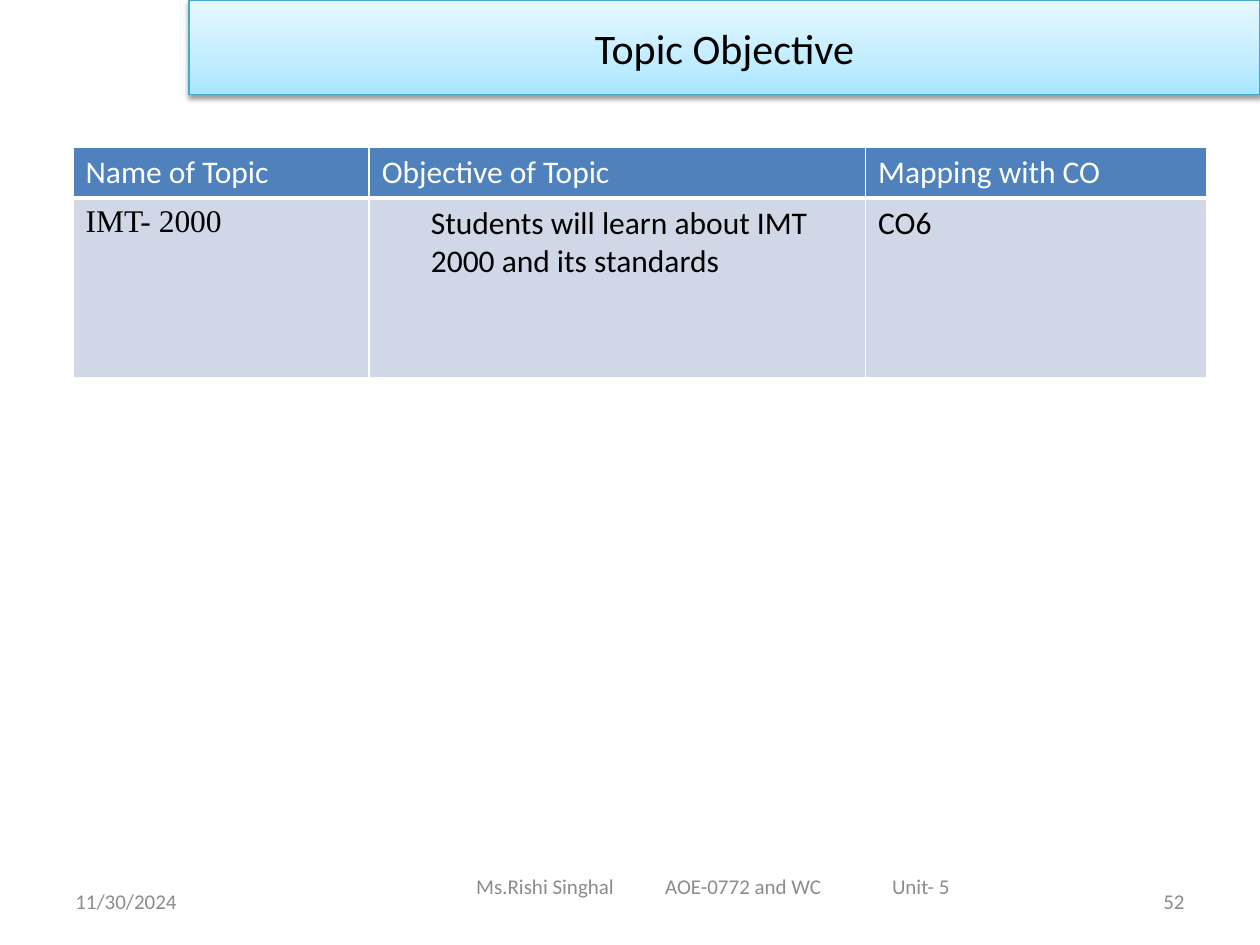
from dataclasses import dataclass

from lxml import etree
from pptx import Presentation
from pptx.dml.color import RGBColor
from pptx.enum.text import MSO_ANCHOR, PP_ALIGN
from pptx.oxml import parse_xml
from pptx.oxml.ns import nsdecls, qn
from pptx.util import Inches, Pt

LEFT, CENTER, RIGHT = PP_ALIGN.LEFT, PP_ALIGN.CENTER, PP_ALIGN.RIGHT
MIDDLE = MSO_ANCHOR.MIDDLE
TITLE_ONLY_LAYOUT = 5
BODY_FONT = "Calibri"
SERIF_FONT = "Times New Roman"
COLORS = {
    "text": "000000",
    "white": "FFFFFF",
    "footer": "8C8C8C",
    "header": "4F81BD",
    "band": "D0D8E8",
    "title_line": "46AAC5",
    "shadow": "000000",
}
TITLE_STOPS = [(0, "A7E6FF"), (35, "C1EDFF"), (100, "E7F8FF")]


@dataclass
class FooterItem:
    text: str
    left: float
    top: float
    width: float
    alignment: PP_ALIGN
    inset: float = 0.1
    tabs: tuple = ()


@dataclass
class TableCell:
    text: str
    color: str
    fill: str
    bottom_border: float
    font: str = BODY_FONT
    indent: float = 0


FOOTER_ITEMS = [
    FooterItem("11/30/2024", 0.5, 6.95, 2.33, LEFT),
    FooterItem("Ms.Rishi Singhal\tAOE-0772 and WC\tUnit- 5", 3.08, 6.83, 5.17, LEFT, 0.7, (1.5, 3.3)),
    FooterItem("52", 7.17, 6.95, 2.33, RIGHT),
]
COLUMN_WIDTHS = [2.35, 3.94, 2.71]
ROW_HEIGHTS = [0.4, 1.43]
HEADINGS = ["Name of Topic", "Objective of Topic", "Mapping with CO"]
TABLE_ROWS = [
    [TableCell(heading, "white", "header", 3) for heading in HEADINGS],
    [
        TableCell("IMT- 2000", "text", "band", 1, font=SERIF_FONT),
        TableCell("Students will learn about IMT 2000 and its standards", "text", "band", 1, indent=0.39),
        TableCell("CO6", "text", "band", 1),
    ],
]


def add_run(paragraph, text: str, size: float, color: str, font: str = BODY_FONT) -> None:
    run = paragraph.add_run()
    run.text = text
    run.font.size = Pt(size)
    run.font.name = font
    run.font.bold = False
    run.font.color.rgb = RGBColor.from_string(COLORS[color])


def draw_title(slide) -> None:
    title = slide.shapes.title
    title.left, title.top = Inches(1.5), Inches(0)
    title.width, title.height = Inches(8.5), Inches(0.75)
    stops = "".join(
        f'<a:gs pos="{position * 1000}"><a:srgbClr val="{color}"/></a:gs>'
        for position, color in TITLE_STOPS
    )
    properties = title._element.spPr
    properties.append(parse_xml(
        f'<a:gradFill {nsdecls("a")} rotWithShape="1"><a:gsLst>{stops}</a:gsLst>'
        '<a:lin ang="16200000" scaled="0"/></a:gradFill>'
    ))
    title.line.color.rgb = RGBColor.from_string(COLORS["title_line"])
    title.line.width = Pt(0.75)
    properties.append(parse_xml(
        f'<a:effectLst {nsdecls("a")}><a:outerShdw blurRad="{Pt(3.1)}" dist="{Pt(1.6)}" '
        f'dir="5400000" rotWithShape="0"><a:srgbClr val="{COLORS["shadow"]}">'
        '<a:alpha val="38000"/></a:srgbClr></a:outerShdw></a:effectLst>'
    ))
    title.text_frame.vertical_anchor = MIDDLE
    paragraph = title.text_frame.paragraphs[0]
    paragraph.alignment = CENTER
    add_run(paragraph, "Topic Objective", 24, "text")


def draw_footer(slide, item: FooterItem) -> None:
    box = slide.shapes.add_textbox(
        Inches(item.left), Inches(item.top), Inches(item.width), Inches(0.4)
    )
    frame = box.text_frame
    frame.word_wrap = True
    frame.vertical_anchor = MIDDLE
    frame.margin_left = Inches(item.inset)
    paragraph = frame.paragraphs[0]
    paragraph.alignment = item.alignment
    if item.tabs:
        tab_list = etree.SubElement(paragraph._p.get_or_add_pPr(), qn("a:tabLst"))
        for position in item.tabs:
            etree.SubElement(tab_list, qn("a:tab"), pos=str(Inches(position)), algn="l")
    add_run(paragraph, item.text, 12, "footer")


def set_borders(cell, bottom_width: float) -> None:
    properties = cell._tc.get_or_add_tcPr()
    for index, (side, width) in enumerate(
        [("lnL", 1), ("lnR", 1), ("lnT", 1), ("lnB", bottom_width)]
    ):
        properties.insert(index, parse_xml(
            f'<a:{side} {nsdecls("a")} w="{Pt(width)}"><a:solidFill>'
            f'<a:srgbClr val="{COLORS["white"]}"/></a:solidFill></a:{side}>'
        ))


def draw_cell(cell, content: TableCell) -> None:
    cell.fill.solid()
    cell.fill.fore_color.rgb = RGBColor.from_string(COLORS[content.fill])
    set_borders(cell, content.bottom_border)
    paragraph = cell.text_frame.paragraphs[0]
    if content.indent:
        paragraph._p.get_or_add_pPr().set("marL", str(Inches(content.indent)))
    add_run(paragraph, content.text, 18, content.color, content.font)


def draw_table(slide) -> None:
    table = slide.shapes.add_table(
        len(TABLE_ROWS), len(COLUMN_WIDTHS), Inches(0.58), Inches(1.17),
        Inches(sum(COLUMN_WIDTHS)), Inches(sum(ROW_HEIGHTS)),
    ).table
    for column, width in zip(table.columns, COLUMN_WIDTHS):
        column.width = Inches(width)
    for row, height, contents in zip(table.rows, ROW_HEIGHTS, TABLE_ROWS):
        row.height = Inches(height)
        for cell, content in zip(row.cells, contents):
            draw_cell(cell, content)
    for index in range(len(COLUMN_WIDTHS)):
        top_border = table.cell(1, index)._tc.tcPr.find(qn("a:lnT"))
        top_border.set("w", str(Pt(3)))


def main() -> None:
    presentation = Presentation()
    presentation.slide_width = Inches(10)
    presentation.slide_height = Inches(7.5)
    slide = presentation.slides.add_slide(presentation.slide_layouts[TITLE_ONLY_LAYOUT])
    for item in FOOTER_ITEMS:
        draw_footer(slide, item)
    draw_title(slide)
    draw_table(slide)
    presentation.save("out.pptx")


if __name__ == "__main__":
    main()
